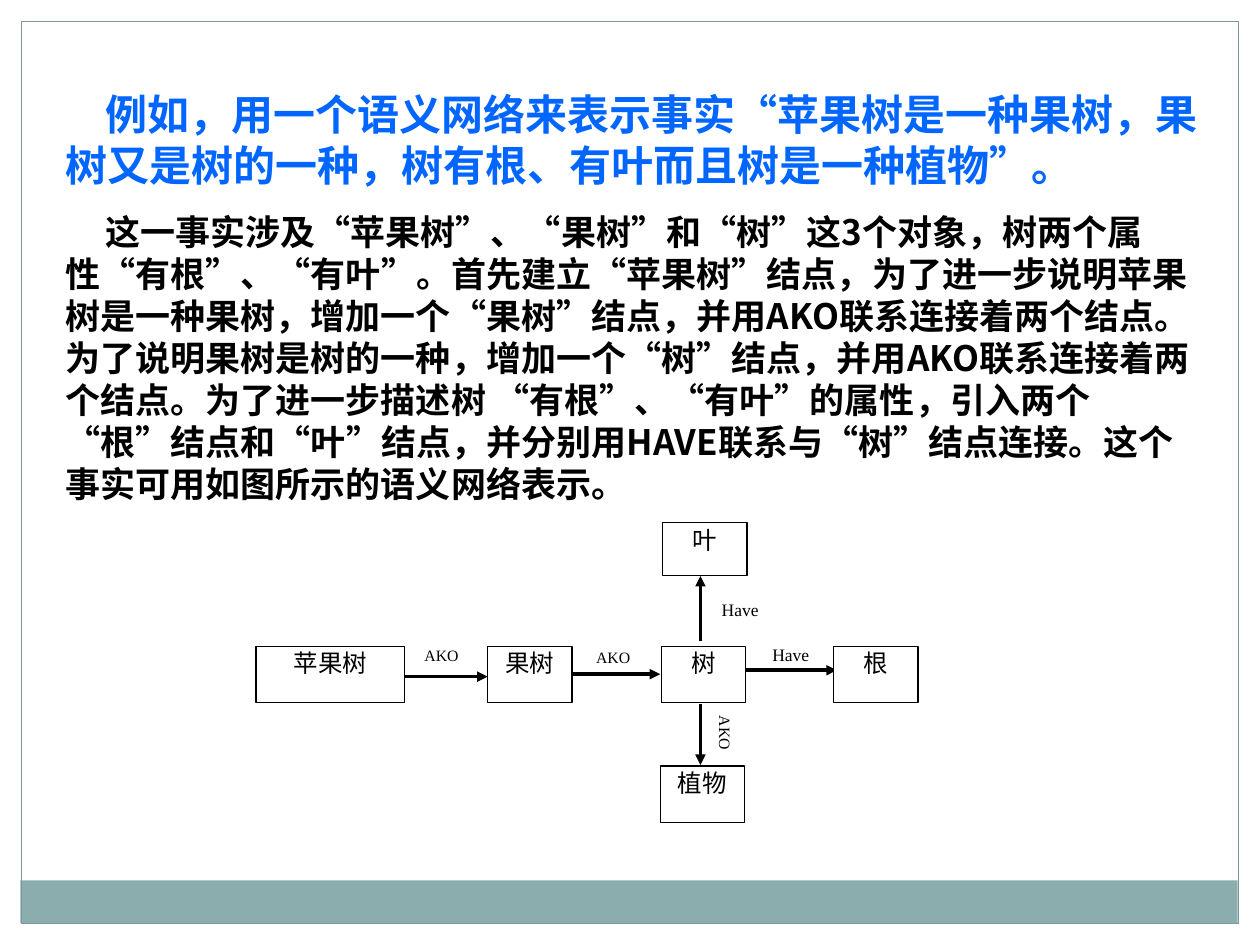
from dataclasses import dataclass
from itertools import groupby

from lxml.etree import SubElement
from pptx import Presentation
from pptx.dml.color import RGBColor
from pptx.enum.shapes import MSO_CONNECTOR, MSO_SHAPE
from pptx.enum.text import MSO_ANCHOR, PP_ALIGN
from pptx.oxml.ns import qn
from pptx.util import Cm, Pt

COLORS = {"white": "FFFFFF", "black": "000000", "blue": "0066FF",
          "band": "8CADAE", "frame": "7C999A"}
CJK, SERIF, QUOTE_FONT = "Noto Sans CJK SC", "Times New Roman", "Arial"
NODE_W, NODE_H, ROW_Y = 1.7, 1.14, 13.03


@dataclass
class Node:
    text: str
    x: float
    y: float = ROW_Y
    w: float = NODE_W
    h: float = NODE_H


@dataclass
class Arrow:
    x1: float
    y1: float
    x2: float
    y2: float


@dataclass
class Label:
    text: str
    x: float
    y: float
    w: float = NODE_W
    h: float = 0.65
    size: float = 9
    rotation: float = 0


@dataclass
class Passage:
    text: str
    font: str
    size: float
    color: str
    leading: float
    before: float = 0


NODES = [
    Node("苹果树", 5.16, w=3),
    Node("果树", 9.83),
    Node("树", 13.33),
    Node("根", 16.81),
    Node("叶", 13.36, 10.54, h=1.07),
    Node("植物", 13.31, 15.44),
]
ARROWS = [
    Arrow(8.13, 13.64, 9.83, 13.64),
    Arrow(11.4, 13.59, 13.31, 13.59),
    Arrow(14.81, 13.51, 16.87, 13.51),
    Arrow(14.12, 12.93, 14.12, 11.61),
    Arrow(14.12, 14.2, 14.12, 15.42),
]
LABELS = [
    Label("AKO", 8.05, 12.88),
    Label("AKO", 11.51, 12.93),
    Label("Have", 15.09, 12.85, size=10),
    Label("Have", 13.84, 11.94, w=2.16, h=0.84, size=10),
    Label("AKO", 13.77, 14.45, rotation=90),
]
PASSAGES = [
    Passage("例如，用一个语义网络来表示事实“苹果树是一种果树，果树又是树的一种，"
            "树有根、有叶而且树是一种植物”。", "Roboto", 24, "blue", 29.1),
    Passage("这一事实涉及“苹果树”、“果树”和“树”这3个对象，树两个属性“有根”、“有叶”。"
            "首先建立“苹果树”结点，为了进一步说明苹果树是一种果树，增加一个“果树”结点，"
            "并用AKO联系连接着两个结点。为了说明果树是树的一种，增加一个“树”结点，"
            "并用AKO联系连接着两个结点。为了进一步描述树 “有根”、“有叶”的属性，"
            "引入两个 “根”结点和“叶”结点，并分别用HAVE联系与“树”结点连接。"
            "这个事实可用如图所示的语义网络表示。", CJK, 20, "black", 24, 11.5),
]


def rgb(name: str) -> RGBColor:
    return RGBColor.from_string(COLORS[name])


def add_run(p, text: str, font: str, size: float, color: str, bold=False) -> None:
    """Add a run whose Chinese characters use the CJK face."""
    r = p.add_run()
    r.text = text
    r.font.color.rgb = rgb(color)
    for key, value in {"name": font, "size": Pt(size), "bold": bold}.items():
        setattr(r.font, key, value)
    SubElement(r.font._element, qn("a:ea")).set("typeface", CJK)


def set_frame(tf, **changes) -> None:
    """Apply the common text frame format, with any changes given."""
    fmt = {"word_wrap": True, "vertical_anchor": MSO_ANCHOR.TOP,
           "margin_left": Cm(0.25), "margin_right": Cm(0.25),
           "margin_top": Cm(0.13), "margin_bottom": Cm(0.13)}
    for key, value in {**fmt, **changes}.items():
        setattr(tf, key, value)


def add_rect(s, x: float, y: float, w: float, h: float, fill=None, line=None, width=0):
    sp = s.shapes.add_shape(MSO_SHAPE.RECTANGLE, Cm(x), Cm(y), Cm(w), Cm(h))
    sp.shadow.inherit = False
    for part, color in ((sp.fill, fill), (sp.line.fill, line)):
        if color:
            part.solid()
            part.fore_color.rgb = rgb(color)
        else:
            part.background()
    if line:
        sp.line.width = Pt(width)
    return sp


def add_node(s, node: Node) -> None:
    sp = add_rect(s, node.x, node.y, node.w, node.h, "white", "black")
    set_frame(sp.text_frame, margin_top=Cm(0.04))
    p = sp.text_frame.paragraphs[0]
    p.alignment = PP_ALIGN.CENTER
    add_run(p, node.text, SERIF, 14, "black")


def add_arrow(s, arrow: Arrow) -> None:
    c = s.shapes.add_connector(MSO_CONNECTOR.STRAIGHT, Cm(arrow.x1), Cm(arrow.y1),
                               Cm(arrow.x2), Cm(arrow.y2))
    c.line.color.rgb = rgb("black")
    c.line.width = Pt(0)
    SubElement(c.line._get_or_add_ln(), qn("a:tailEnd")).set("type", "triangle")
    SubElement(c._element.spPr, qn("a:effectLst"))


def add_label(s, label: Label) -> None:
    sp = s.shapes.add_textbox(Cm(label.x), Cm(label.y), Cm(label.w), Cm(label.h))
    sp.rotation = label.rotation
    set_frame(sp.text_frame)
    p = sp.text_frame.paragraphs[0]
    p.alignment = PP_ALIGN.CENTER
    add_run(p, label.text, SERIF, label.size, "black")


def add_passages(s, passages: list[Passage]) -> None:
    """Write the bold paragraphs, with the curly quotes in their own font."""
    sp = s.shapes.add_textbox(Cm(1.07), Cm(1.65), Cm(23.47), Cm(8.71))
    tf = sp.text_frame
    set_frame(tf)
    for i, passage in enumerate(passages):
        p = tf.add_paragraph() if i else tf.paragraphs[0]
        p.line_spacing = Pt(passage.leading)
        p.space_before = Pt(passage.before)
        p._p.get_or_add_pPr().set("indent", str(Cm(0.8)))
        for is_quote, chars in groupby(passage.text, lambda ch: ch in "“”"):
            font = QUOTE_FONT if is_quote else passage.font
            add_run(p, "".join(chars), font, passage.size, passage.color, True)


def main() -> None:
    prs = Presentation()
    prs.slide_width, prs.slide_height = Cm(25.4), Cm(19.05)
    s = prs.slides.add_slide(prs.slide_layouts[6])
    add_rect(s, 0.41, 17.75, 24.54, 0.86, fill="band")
    add_rect(s, 0.43, 0.43, 24.54, 18.19, line="frame", width=0.75)
    for arrow in ARROWS:
        add_arrow(s, arrow)
    for node in NODES:
        add_node(s, node)
    for label in LABELS:
        add_label(s, label)
    add_passages(s, PASSAGES)
    prs.save("out.pptx")


if __name__ == "__main__":
    main()
